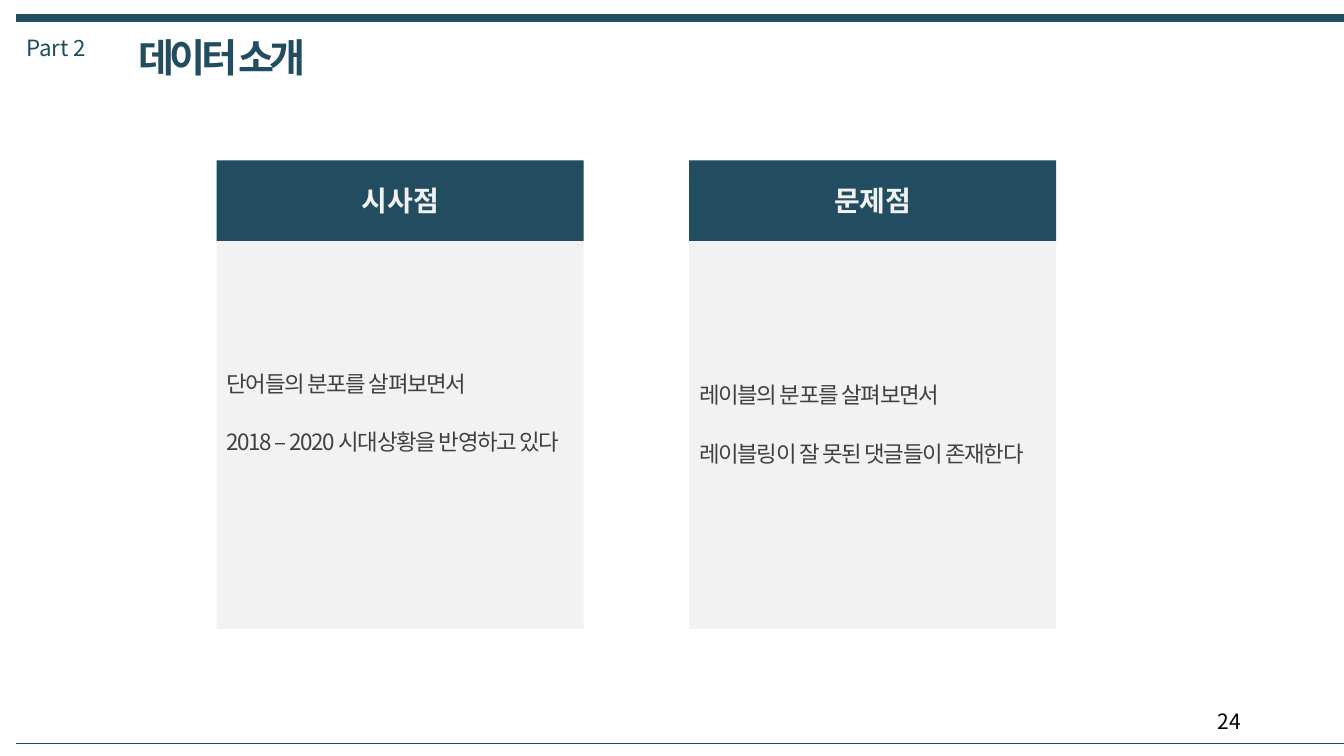
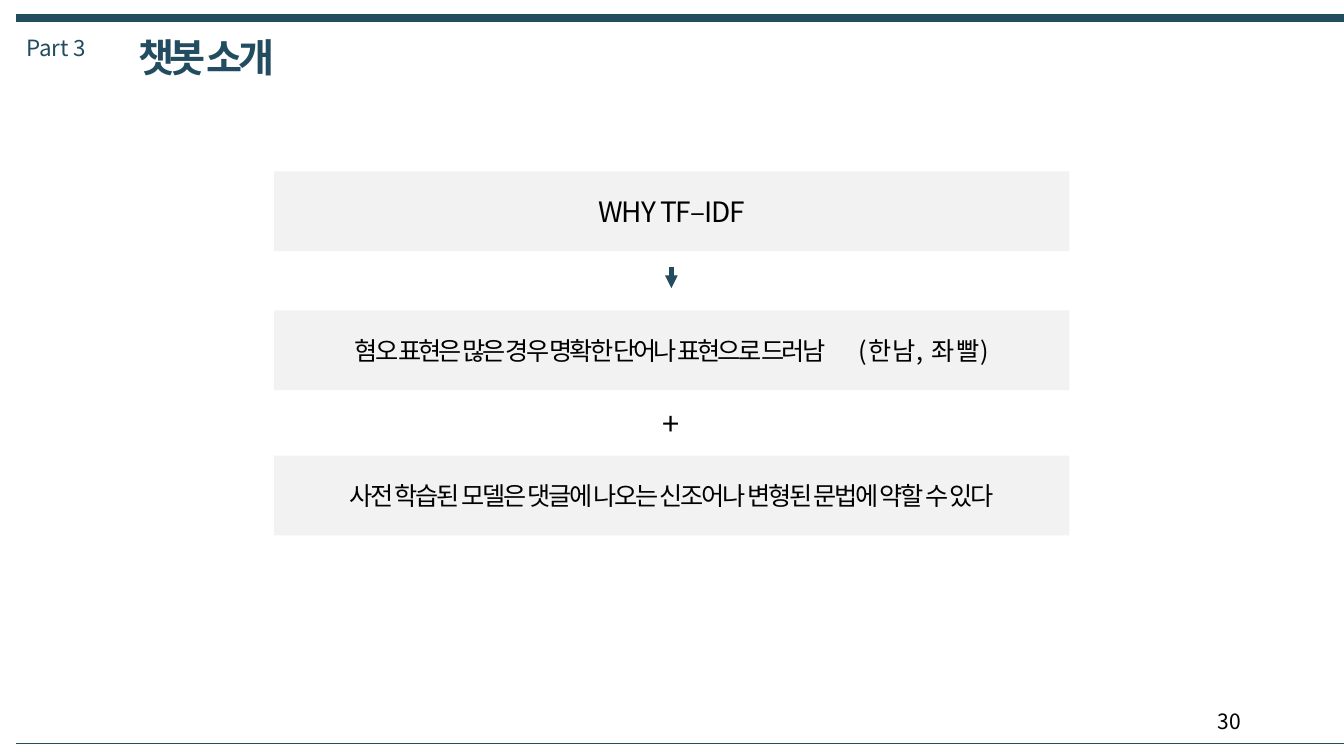
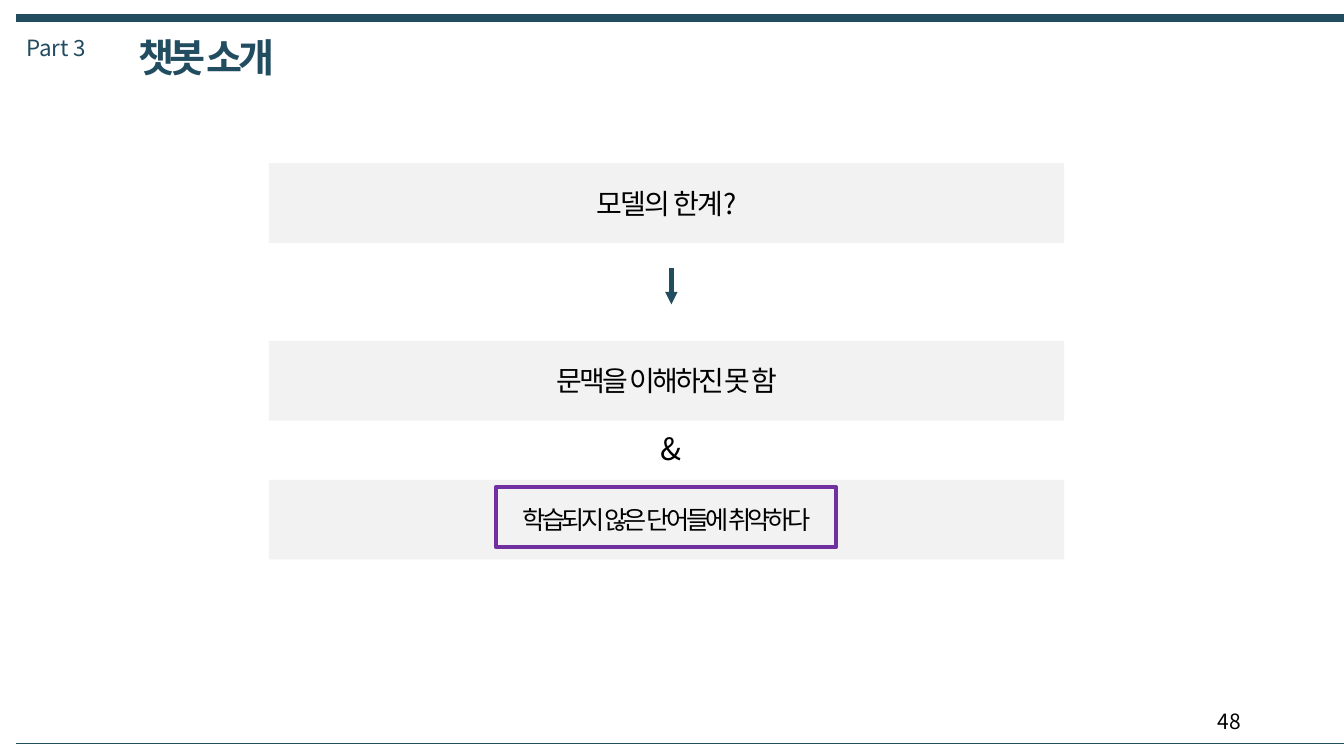
from lxml import etree
from pptx import Presentation
from pptx.dml.color import RGBColor
from pptx.enum.shapes import MSO_CONNECTOR, MSO_SHAPE
from pptx.enum.text import MSO_ANCHOR, PP_ALIGN
from pptx.oxml.ns import qn
from pptx.util import Cm, Pt

NAVY = RGBColor(0x22, 0x4D, 0x60)
PALE = RGBColor(0xF2, 0xF2, 0xF2)
GRAY = RGBColor(0x40, 0x40, 0x40)
BLACK = RGBColor(0, 0, 0)
PURPLE = RGBColor(0x70, 0x30, 0xA0)
FONT = "Noto Sans CJK KR"
LEFT, CENTER, RIGHT = PP_ALIGN.LEFT, PP_ALIGN.CENTER, PP_ALIGN.RIGHT


def add_box(page, place, spans=(), size=18, color=BLACK, bold=False,
            align=CENTER, fill=None, gap=None):
    """Add a rectangle (with fill) or a text box; spans are (text, tracking).

    With a gap, each span becomes a paragraph of its own.
    """
    place = [Cm(length) for length in place]
    if fill is None:
        box = page.shapes.add_textbox(*place)
    else:
        box = page.shapes.add_shape(MSO_SHAPE.RECTANGLE, *place)
        box.shadow.inherit = False
        box.fill.solid()
        box.fill.fore_color.rgb = fill
        box.line.fill.background()
    frame = box.text_frame
    frame.word_wrap = True
    frame.vertical_anchor = MSO_ANCHOR.MIDDLE
    para = frame.paragraphs[0]
    para.alignment = align
    for index, (text, tracking) in enumerate(spans):
        if gap and index:
            para = frame.add_paragraph()
            para.alignment = align
            para.space_before = Pt(gap)
        span = para.add_run()
        span.text = text
        span.font.size = Pt(size)
        span.font.bold = bold
        span.font.color.rgb = color
        span.font.name = FONT
        properties = span.font._element
        properties.set("spc", str(round(tracking * 100)))
        etree.SubElement(properties, qn("a:ea")).set("typeface", FONT)
    return box


def add_line(page, start, end, width, arrow=False):
    line = page.shapes.add_connector(
        MSO_CONNECTOR.STRAIGHT, *[Cm(length) for length in start + end])
    line.line.color.rgb = NAVY
    line.line.width = Pt(width)
    if arrow:
        head = etree.SubElement(line.line._get_or_add_ln(), qn("a:tailEnd"))
        head.set("type", "triangle")
    etree.SubElement(line._element.spPr, qn("a:effectLst"))


deck = Presentation()
deck.slide_width = Cm(33.87)
deck.slide_height = Cm(19.05)

# Shared frame: rules, part label, title, page number
pages = []
for part, title, number in [("Part 2", "데이터 소개", "24"),
                            ("Part 3", "챗봇 소개", "30"),
                            ("Part 3", "챗봇 소개", "48")]:
    page = deck.slides.add_slide(deck.slide_layouts[6])
    add_line(page, (0.41, 0.46), (33.87, 0.46), 6)
    add_line(page, (0.41, 18.72), (33.87, 18.72), 0.25)
    add_box(page, (0.41, 0.74, 2.2, 0.94), [(part, 0)], 16, NAVY, align=LEFT)
    add_box(page, (3.23, 0.72, 8, 1.45), [(title, -3)], 28, NAVY, True, LEFT)
    add_box(page, (24.26, 17.65, 7.26, 1.02), [(number, 0)], 15, align=RIGHT)
    pages.append(page)
findings_page, reason_page, limit_page = pages

# Two cards: implications and problems
CARD_TOP, CARD_WIDTH, CARD_HEIGHT = 4.04, 9.25, 11.81
HEADER_HEIGHT, BODY_HEIGHT = 2.03, 4
cards = [
    (5.46, 10.39, "시사점",
     ["단어들의 분포를 살펴보면서", "2018 – 2020 시대상황을 반영하고 있다"]),
    (17.37, 10.69, "문제점",
     ["레이블의 분포를 살펴보면서", "레이블링이 잘 못된 댓글들이 존재한다"]),
]
for left, middle, heading, lines in cards:
    add_box(findings_page, (left, CARD_TOP, CARD_WIDTH, CARD_HEIGHT), fill=PALE)
    add_box(findings_page, (left, CARD_TOP, CARD_WIDTH, HEADER_HEIGHT),
            [(heading, 0)], 20, PALE, True, fill=NAVY)
    add_box(findings_page,
            (left, middle - BODY_HEIGHT / 2, CARD_WIDTH, BODY_HEIGHT),
            [(line, -0.9) for line in lines], 16, GRAY, align=LEFT, gap=22.5)

# Bar sequences: question, arrow, answer, sign, answer
BAR_WIDTH, BAR_HEIGHT = 20.04, 2.01
AXIS, SIGN_WIDTH, SIGN_HEIGHT = 16.92, 1.6, 1.2
sequences = [
    (reason_page, 6.91, (6.73, 7.26), ("+", 10.66), [
        (4.32, 20, [("WHY TF–IDF", -0.8)]),
        (7.82, 18, [("혐오 표현은 많은 경우 명확한 단어나 표현으로 드러남\t", -2),
                    ("(한남, 좌빨)", 0.8)]),
        (11.48, 18, [("사전 학습된 모델은 댓글에 나오는 신조어나 변형된 문법에 "
                      "약할 수 있다", -1.6)]),
    ]),
    (limit_page, 6.78, (6.76, 7.67), ("&", 11.29), [
        (4.11, 20, [("모델의 한계?", -1.2)]),
        (8.59, 20, [("문맥을 이해하진 못 함", -2)]),
        (12.09, 18, [("학습되지 않은 단어들에 취약하다", -2.35)]),
    ]),
]
for page, left, (arrow_top, arrow_end), (sign, middle), bars in sequences:
    for top, size, spans in bars:
        add_box(page, (left, top, BAR_WIDTH, BAR_HEIGHT), spans, size, fill=PALE)
    add_line(page, (AXIS, arrow_top), (AXIS, arrow_end), 3, arrow=True)
    add_box(page, (AXIS - SIGN_WIDTH / 2, middle - SIGN_HEIGHT / 2,
                   SIGN_WIDTH, SIGN_HEIGHT), [(sign, 0)], 22)

# Frame around the key limit
highlight = add_box(limit_page, (12.5, 12.27, 8.56, 1.52), fill=PALE)
highlight.fill.background()
highlight.line.color.rgb = PURPLE
highlight.line.width = Pt(3)

deck.save("out.pptx")
